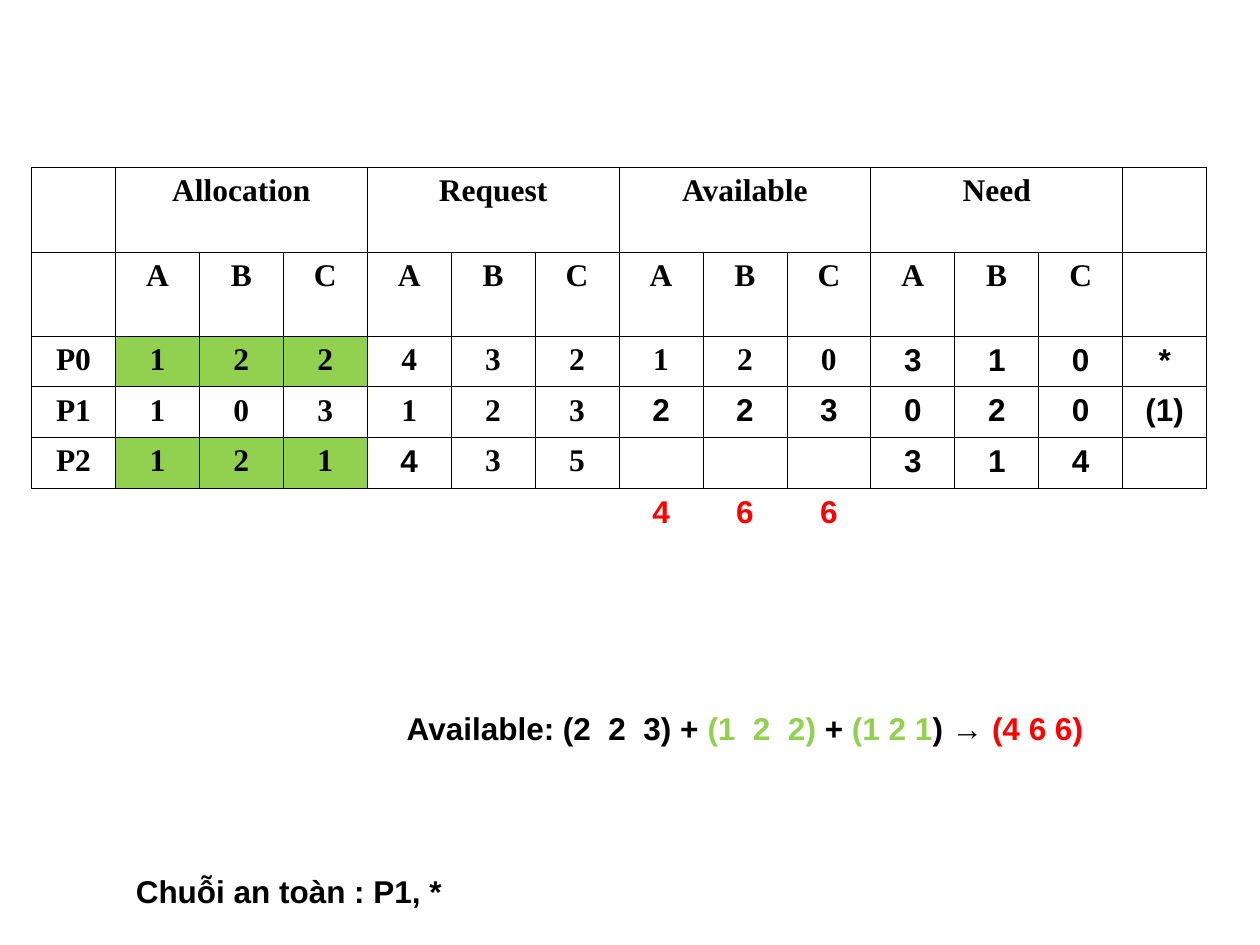
from lxml.etree import SubElement
from pptx import Presentation
from pptx.dml.color import RGBColor
from pptx.enum.text import MSO_AUTO_SIZE, PP_ALIGN
from pptx.oxml.ns import qn
from pptx.util import Inches, Pt

# Content
GROUPS = ["Allocation", "Request", "Available", "Need"]
RESOURCES = ["A", "B", "C"]
PROCESSES = [
    ["P0", "1", "2", "2", "4", "3", "2", "1", "2", "0", "3", "1", "0", "*"],
    ["P1", "1", "0", "3", "1", "2", "3", "2", "2", "3", "0", "2", "0", "(1)"],
    ["P2", "1", "2", "1", "4", "3", "5", "", "", "", "3", "1", "4", ""],
]
TOTALS = [""] * 7 + ["4", "6", "6"] + [""] * 4
SAFE_ORDER = [("Chuỗi an toàn : P1, *", "ink")]
AVAILABLE_SUM = [
    ("Available: (2  2  3) + ", "ink"),
    ("(1  2  2)", "green"),
    (" + ", "ink"),
    ("(1 2 1", "green"),
    (") → ", "ink"),
    ("(4 6 6)", "red"),
]

THEME = {
    "ink": "000000", "green": "92D050", "red": "FF0000",
    "serif": "Times New Roman", "sans": "Arial",
    "size": 18, "border": 0.45,
}

# Table layout, in inches
TABLE_LEFT, TABLE_TOP, TABLE_WIDTH = 0.25, 1.33, 9.33
ROW_HEIGHTS = [0.67, 0.67, 0.4, 0.4, 0.4, 0.4]
TOTAL_ROW = len(ROW_HEIGHTS) - 1
GREEN_ROWS = (2, 4)
ALLOCATION_COLUMNS = range(1, 4)
SANS_COLUMNS = {2: range(10, 14), 3: range(7, 14), 4: [4, *range(10, 14)], 5: range(14)}


def add_text(para, text, color="ink", font="sans"):
    span = para.add_run()
    span.text = text
    span.font.name = THEME[font]
    span.font.size = Pt(THEME["size"])
    span.font.bold = True
    span.font.color.rgb = RGBColor.from_string(THEME[color])


def set_borders(cell, sides):
    """Draw the named sides of a cell and hide the others."""
    properties = cell._tc.get_or_add_tcPr()
    for side in "LRTB":
        line = SubElement(properties, qn(f"a:ln{side}"), w=str(Pt(THEME["border"])))
        if side in sides:
            fill = SubElement(line, qn("a:solidFill"))
            SubElement(fill, qn("a:srgbClr"), val=THEME["ink"])
        else:
            SubElement(line, qn("a:noFill"))


def add_allocation_table(page):
    header = [""]
    for group in GROUPS:
        header += [group, "", ""]
    rows = [header + [""], [""] + RESOURCES * len(GROUPS) + [""], *PROCESSES, TOTALS]
    table = page.shapes.add_table(
        len(rows), len(TOTALS), Inches(TABLE_LEFT), Inches(TABLE_TOP),
        Inches(TABLE_WIDTH), Inches(sum(ROW_HEIGHTS))).table
    table.first_row = table.horz_banding = False
    for row, height in zip(table.rows, ROW_HEIGHTS):
        row.height = Inches(height)
    for column in table.columns:
        column.width = Inches(TABLE_WIDTH / len(TOTALS))

    for r, values in enumerate(rows):
        for c, value in enumerate(values):
            cell = table.cell(r, c)
            set_borders(cell, "T" if r == TOTAL_ROW else "LRTB")
            if r in GREEN_ROWS and c in ALLOCATION_COLUMNS:
                cell.fill.solid()
                cell.fill.fore_color.rgb = RGBColor.from_string(THEME["green"])
            else:
                cell.fill.background()
            if value:
                para = cell.text_frame.paragraphs[0]
                para.alignment = PP_ALIGN.CENTER
                add_text(para, value,
                         color="red" if r == TOTAL_ROW else "ink",
                         font="sans" if c in SANS_COLUMNS.get(r, ()) else "serif")

    # Each group name spans its three resources
    span = len(RESOURCES)
    for i in range(len(GROUPS)):
        first = 1 + i * span
        table.cell(0, first).merge(table.cell(0, first + span - 1))


def add_note(page, spans, left, top, width):
    box = page.shapes.add_textbox(Inches(left), Inches(top), Inches(width), Inches(0.4))
    box.text_frame.word_wrap = False
    box.text_frame.auto_size = MSO_AUTO_SIZE.SHAPE_TO_FIT_TEXT
    for text, color in spans:
        add_text(box.text_frame.paragraphs[0], text, color=color)


def main():
    deck = Presentation()
    deck.slide_width, deck.slide_height = Inches(10), Inches(7.5)
    page = deck.slides.add_slide(deck.slide_layouts[6])
    add_allocation_table(page)
    add_note(page, SAFE_ORDER, left=0.98, top=6.87, width=2.7)
    add_note(page, AVAILABLE_SUM, left=3.13, top=5.58, width=5.64)
    deck.save("out.pptx")


if __name__ == "__main__":
    main()
